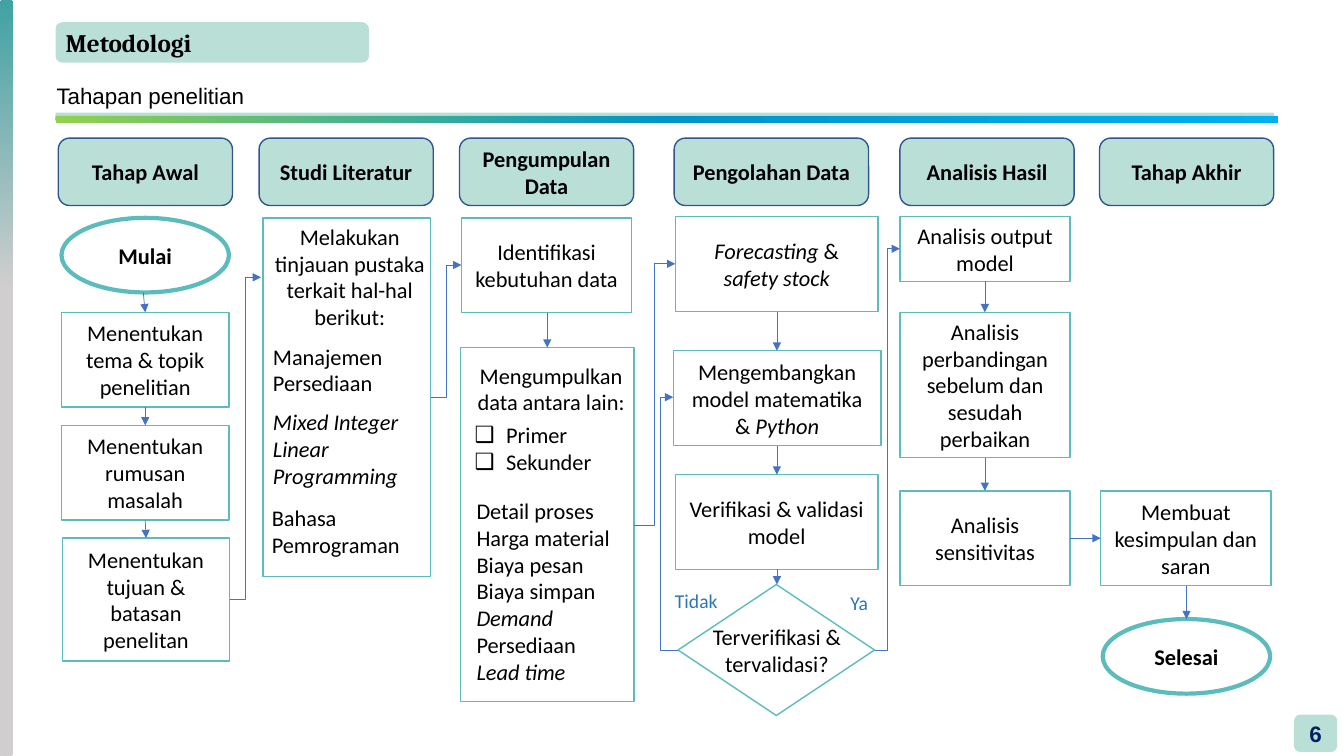
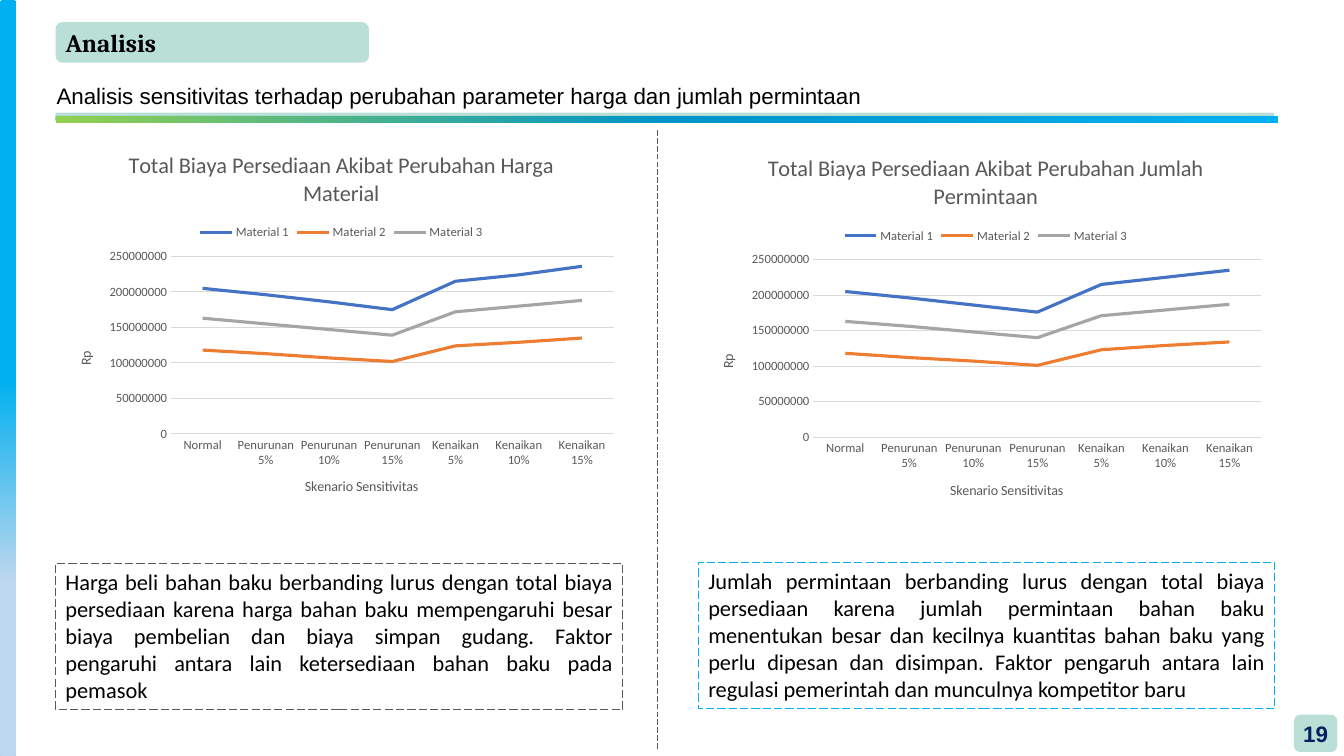
"""Build the methodology flowchart and the sensitivity analysis slides."""
import lxml.etree
import pptx
import pptx.chart.data
import pptx.dml.color
import pptx.enum.chart
import pptx.enum.dml
import pptx.enum.shapes
import pptx.enum.text
import pptx.oxml.ns
import pptx.util

Cm, Pt, qn = pptx.util.Cm, pptx.util.Pt, pptx.oxml.ns.qn
SHAPE = pptx.enum.shapes.MSO_SHAPE
CONNECTOR = pptx.enum.shapes.MSO_CONNECTOR
ALIGN = pptx.enum.text.PP_ALIGN
ANCHOR = pptx.enum.text.MSO_ANCHOR
DASH = pptx.enum.dml.MSO_LINE.LONG_DASH
MINT, TEAL, NAVY, BLUE, SKY = "BADFD7", "5CBCBC", "325491", "4472C4", "00B0F0"
BLACK, WHITE, GREY, PALE = "000000", "FFFFFF", "595959", "D9D9D9"


def colour(target, value):
    """Give a fill, or the colour of a font, the hex value."""
    if hasattr(target, "solid"):
        target.solid()
        target = target.fore_color
    target.rgb = pptx.dml.color.RGBColor.from_string(value)


def write(frame, text, size=16, font="Calibri", ink=BLACK, bold=False, align=ALIGN.LEFT,
          anchor=ANCHOR.TOP, spacing=1.0, bullet=None, wrap=True):
    """Fill a frame; newlines part paragraphs and asterisks enclose italics."""
    frame.word_wrap = wrap
    frame.auto_size = pptx.enum.text.MSO_AUTO_SIZE.NONE
    frame.vertical_anchor = anchor
    for number, line in enumerate(text.split("\n")):
        para = frame.add_paragraph() if number else frame.paragraphs[0]
        if bullet is not None:
            props = para._p.get_or_add_pPr()
            indent = Cm(0.79) if bullet else 0
            props.set("marL", str(indent))
            props.set("indent", str(-indent))
            mark = lxml.etree.SubElement(props, qn("a:buChar" if bullet else "a:buNone"))
            if bullet:
                mark.set("char", bullet)
        para.alignment = align
        para.line_spacing = spacing
        para.space_before = Pt(0)
        for position, piece in enumerate(line.split("*")):
            if piece:
                span = para.add_run()
                span.text = piece
                span.font.name = font
                span.font.size = Pt(size)
                span.font.bold = bold
                span.font.italic = position % 2 == 1
                colour(span.font.fill, ink)


deck = pptx.Presentation()
deck.slide_width, deck.slide_height = Cm(33.87), Cm(19.05)

headings = [
    (3, "Metodologi", "Tahapan penelitian", "6", 0.33, [(0, "40A2A2"), (38, "D0CECE")]),
    (1, "Analisis",
     "Analisis sensitivitas terhadap perubahan parameter harga dan jumlah permintaan",
     "19", 0.41, [(0, SKY), (50, SKY), (77, "BDD7EE")]),
]
for layout, title, subtitle, number, side_width, side_stops in headings:
    page = deck.slides.add_slide(deck.slide_layouts[layout])
    plates = [((1.4, 0.56, 7.9, 1.02), MINT), ((1.4, 2.84, 30.71, 0.13), MINT),
              ((1.4, 2.92, 30.71, 0.13), "54B9B9"), ((32.61, 18.01, 1.09, 0.94), MINT)]
    for box, fill in plates:
        plate = page.shapes.add_shape(SHAPE.ROUNDED_RECTANGLE, *map(Cm, box))
        colour(plate.fill, fill)
        plate.line.fill.background()
    write(plate.text_frame, number, font="Arial", ink="002060", bold=True,
          align=ALIGN.CENTER, anchor=ANCHOR.MIDDLE, wrap=False)

    ribbons = [
        (SHAPE.RECTANGLE, (1.4, 2.92, 30.81, 0.18), 0,
         [(0, "92D050"), (50, "0094CA"), (100, SKY)]),
        (SHAPE.ROUNDED_RECTANGLE, (0, 0, side_width, 19.05), 270, side_stops),
    ]
    for kind, box, angle, stops in ribbons:
        ribbon = page.shapes.add_shape(kind, *map(Cm, box))
        ribbon.line.fill.background()
        ribbon.fill.gradient()
        ribbon.fill.gradient_angle = angle
        stop_list = ribbon.element.spPr.find(".//" + qn("a:gsLst"))
        stop_list.clear()
        for percent, value in stops:
            stop = lxml.etree.SubElement(stop_list, qn("a:gs"), pos=str(percent * 1000))
            lxml.etree.SubElement(stop, qn("a:srgbClr"), val=value)

    headline, lead = page.shapes.title, page.placeholders[1]
    for holder, box in [(headline, (1.4, 0.56, 7.9, 1.02)), (lead, (1.17, 2.03, 32, 1.02))]:
        holder.left, holder.top, holder.width, holder.height = map(Cm, box)
    write(headline.text_frame, title, size=18, font="Cambria", bold=True, anchor=ANCHOR.MIDDLE)
    write(lead.text_frame, subtitle, font="Arial", spacing=0.9, bullet="")

method, analysis = deck.slides

stages = [("Tahap Awal", 1.47, 4.39), ("Studi Literatur", 6.53, 4.39),
          ("Pengumpulan Data", 11.58, 4.39), ("Pengolahan Data", 16.99, 4.9),
          ("Analisis Hasil", 22.68, 4.39), ("Tahap Akhir", 27.71, 4.39)]
steps = [
    (SHAPE.OVAL, (1.55, 5.49, 4.22, 1.88), "Mulai"),
    (SHAPE.RECTANGLE, (1.55, 7.87, 4.22, 2.39), "Menentukan tema & topik penelitian"),
    (SHAPE.RECTANGLE, (1.55, 10.72, 4.22, 2.39), "Menentukan rumusan masalah"),
    (SHAPE.RECTANGLE, (1.57, 13.56, 4.22, 3.1), "Menentukan tujuan & batasan penelitan"),
    (SHAPE.RECTANGLE, (6.63, 5.49, 4.22, 9.04), ""),
    (SHAPE.RECTANGLE, (11.63, 5.49, 4.29, 2.39), "Identifikasi kebutuhan data"),
    (SHAPE.RECTANGLE, (11.61, 8.76, 4.37, 8.92), ""),
    (SHAPE.RECTANGLE, (17.02, 5.46, 5.11, 2.39), "*Forecasting* & *safety stock*"),
    (SHAPE.RECTANGLE, (16.97, 8.84, 5.23, 2.39), "Mengembangkan model matematika & *Python*"),
    (SHAPE.RECTANGLE, (17.02, 11.96, 5.11, 2.39), "Verifikasi & validasi model"),
    (SHAPE.DIAMOND, (17.09, 14.73, 4.95, 3.3), ""),
    (SHAPE.RECTANGLE, (22.68, 5.46, 4.29, 1.63), "Analisis output model"),
    (SHAPE.RECTANGLE, (22.68, 7.87, 4.29, 3.66),
     "Analisis perbandingan sebelum dan sesudah perbaikan"),
    (SHAPE.RECTANGLE, (22.68, 12.37, 4.29, 2.39), "Analisis sensitivitas"),
    (SHAPE.RECTANGLE, (27.74, 12.37, 4.29, 2.39), "Membuat kesimpulan dan saran"),
    (SHAPE.OVAL, (27.79, 15.6, 4.22, 1.88), "Selesai"),
]
blocks = [(SHAPE.ROUNDED_RECTANGLE, (left, 3.48, width, 1.7), text, MINT, NAVY, 1, True)
          for text, left, width in stages]
blocks += [(kind, box, text, WHITE, TEAL, 3 if kind == SHAPE.OVAL else 1, kind == SHAPE.OVAL)
           for kind, box, text in steps]
for kind, box, text, fill, edge, weight, bold in blocks:
    block = method.shapes.add_shape(kind, *map(Cm, box))
    colour(block.fill, fill)
    colour(block.line.fill, edge)
    block.line.width = Pt(weight)
    if text:
        write(block.text_frame, text, bold=bold, align=ALIGN.CENTER, anchor=ANCHOR.MIDDLE)

centred, branch = {"align": ALIGN.CENTER}, {"size": 14, "ink": "2E75B6"}
notes = [
    ((6.58, 5.49, 4.47, 3), "Melakukan tinjauan pustaka terkait hal-hal berikut:", centred),
    ((6.63, 8.51, 3.58, 1.63), "Manajemen Persediaan", {}),
    ((6.63, 10.16, 4.8, 2.31), "*Mixed Integer Linear Programming*", {}),
    ((6.6, 12.57, 4.09, 1.63), "Bahasa Pemrograman", {}),
    ((11.58, 8.99, 4.62, 1.63), "Mengumpulkan data antara lain:", centred),
    ((11.76, 12.4, 4.11, 5.05),
     "Detail proses\nHarga material\nBiaya pesan\nBiaya simpan\n*Demand*\nPersediaan\n*Lead time*",
     {"align": ALIGN.JUSTIFY}),
    ((17.42, 15.57, 4.32, 1.63), "Terverifikasi & tervalidasi?", centred),
    ((16.76, 14.71, 1.6, 0.86), "Tidak", branch),
    ((21.18, 14.76, 1.6, 0.86), "Ya", branch),
]
for box, text, style in notes:
    note = method.shapes.add_textbox(*map(Cm, box))
    write(note.text_frame, text, **style)

sources = method.placeholders[2]
sources.left, sources.top, sources.width, sources.height = map(Cm, (11.71, 10.49, 5.03, 1.63))
write(sources.text_frame, "Primer\nSekunder", align=ALIGN.JUSTIFY, bullet="❑")

straight = [(3.61, 7.37, 3.66, 7.87), (3.66, 10.26, 3.66, 10.72), (3.66, 13.11, 3.68, 13.56),
            (13.79, 7.88, 13.79, 8.76), (19.58, 7.85, 19.58, 8.84), (19.58, 11.23, 19.58, 11.96),
            (19.58, 14.35, 19.58, 14.73), (24.82, 7.09, 24.82, 7.87),
            (24.82, 11.53, 24.82, 12.37), (26.97, 13.56, 27.74, 13.56), (29.9, 14.76, 29.9, 15.6)]
bent = [(5.79, 15.11, 6.58, 6.99), (10.85, 10.01, 11.63, 6.68), (15.98, 13.23, 17.02, 6.65),
        (22.05, 16.38, 22.68, 6.27), (17.09, 16.38, 16.97, 10.01)]
links = [(method, CONNECTOR.STRAIGHT, ends) for ends in straight]
links += [(method, CONNECTOR.ELBOW, ends) for ends in bent]
links.append((analysis, CONNECTOR.STRAIGHT, (16.56, 3.28, 16.56, 18.9)))
for page, kind, ends in links:
    link = page.shapes.add_connector(kind, *map(Cm, ends))
    props = link.element.spPr
    link.line.width = Pt(0.5)
    colour(link.line.fill, BLUE if page == method else GREY)
    if page == method:
        lxml.etree.SubElement(props.find(qn("a:ln")), qn("a:tailEnd"), type="triangle")
    else:
        link.line.dash_style = DASH
    lxml.etree.SubElement(props, qn("a:effectLst"))
    if ends == bent[-1]:
        guides = props.find(".//" + qn("a:avLst"))
        lxml.etree.SubElement(guides, qn("a:gd"), name="adj1", fmla="val 380000")

scenarios = ["Normal"] + [f"{change} {percent}%" for change in ("Penurunan", "Kenaikan")
                          for percent in (5, 10, 15)]
panels = [
    ((1.45, 3.35, 14.3, 9.73), "Total Biaya Persediaan Akibat Perubahan Harga Material",
     [(205, 196, 186, 175, 215, 224, 236), (118, 113, 107, 102, 124, 129, 135),
      (163, 155, 147, 139, 172, 180, 188)],
     (1.4, 14.2, 14.3, 3.68), GREY,
     "Harga beli bahan baku berbanding lurus dengan total biaya persediaan karena harga bahan "
     "baku mempengaruhi besar biaya pembelian dan biaya simpan gudang. Faktor pengaruhi antara "
     "lain ketersediaan bahan baku pada pemasok"),
    ((17.6, 3.43, 14.48, 9.73), "Total Biaya Persediaan Akibat Perubahan Jumlah Permintaan",
     [(205, 196, 186, 176, 215, 225, 235), (118, 112, 107, 101, 123, 129, 134),
      (163, 156, 148, 140, 171, 179, 187)],
     (17.6, 14.17, 14.53, 3.68), SKY,
     "Jumlah permintaan berbanding lurus dengan total biaya persediaan karena jumlah permintaan "
     "bahan baku menentukan besar dan kecilnya kuantitas bahan baku yang perlu dipesan dan "
     "disimpan. Faktor pengaruh antara lain regulasi pemerintah dan munculnya kompetitor baru"),
]
for chart_box, title, costs, text_box, edge, text in panels:
    data = pptx.chart.data.CategoryChartData()
    data.categories = scenarios
    for number, millions in enumerate(costs, 1):
        data.add_series(f"Material {number}", [cost * 1000000 for cost in millions])
    chart = analysis.shapes.add_chart(pptx.enum.chart.XL_CHART_TYPE.LINE,
                                      *map(Cm, chart_box), data).chart
    chart.font.name = "Calibri"
    chart.font.size = Pt(9)
    colour(chart.font.fill, GREY)
    chart.has_title = True
    write(chart.chart_title.text_frame, title, ink=GREY, align=ALIGN.CENTER)
    chart.chart_title.include_in_layout = False
    chart.has_legend = True
    chart.legend.position = pptx.enum.chart.XL_LEGEND_POSITION.TOP
    chart.legend.include_in_layout = False

    across, upward = chart.category_axis, chart.value_axis
    for axis, label in [(across, "Skenario Sensitivitas"), (upward, "Rp")]:
        write(axis.axis_title.text_frame, label, size=10, ink=GREY, align=ALIGN.CENTER)
        axis.major_tick_mark = pptx.enum.chart.XL_TICK_MARK.NONE
        axis.minor_tick_mark = pptx.enum.chart.XL_TICK_MARK.NONE
    upward.axis_title.element.find(".//" + qn("a:bodyPr")).set("rot", "-5400000")
    upward.minimum_scale, upward.maximum_scale, upward.major_unit = 0, 250000000, 50000000
    upward.format.line.fill.background()
    for line in (across.format.line, upward.major_gridlines.format.line):
        colour(line.fill, PALE)
        line.width = Pt(0.75)

    chart.plots[0].vary_by_categories = False
    for series, value in zip(chart.plots[0].series, (BLUE, "ED7D31", "A5A5A5")):
        series.smooth = False
        series.marker.style = pptx.enum.chart.XL_MARKER_STYLE.NONE
        series.format.line.width = Pt(2.25)
        colour(series.format.line.fill, value)

    area = chart.element.find(".//" + qn("c:plotArea"))
    for old in area.findall(qn("c:layout")):
        area.remove(old)
    layout = lxml.etree.Element(qn("c:layout"))
    area.insert(0, layout)
    manual = lxml.etree.SubElement(layout, qn("c:manualLayout"))
    for tag, value in [("layoutTarget", "inner"), ("xMode", "edge"), ("yMode", "edge"),
                       ("x", "0.2"), ("y", "0.32"), ("w", "0.78"), ("h", "0.46")]:
        lxml.etree.SubElement(manual, qn("c:" + tag), val=value)

    remark = analysis.shapes.add_shape(SHAPE.RECTANGLE, *map(Cm, text_box))
    remark.fill.background()
    colour(remark.line.fill, edge)
    remark.line.width = Pt(0.75)
    remark.line.dash_style = DASH
    write(remark.text_frame, text, align=ALIGN.JUSTIFY)

for page in deck.slides:
    for shape in list(page.shapes):
        if shape.is_placeholder:
            page.shapes.element.append(shape.element)
        elif shape.shape_type == pptx.enum.shapes.MSO_SHAPE_TYPE.AUTO_SHAPE:
            shape.shadow.inherit = False

deck.save("out.pptx")
